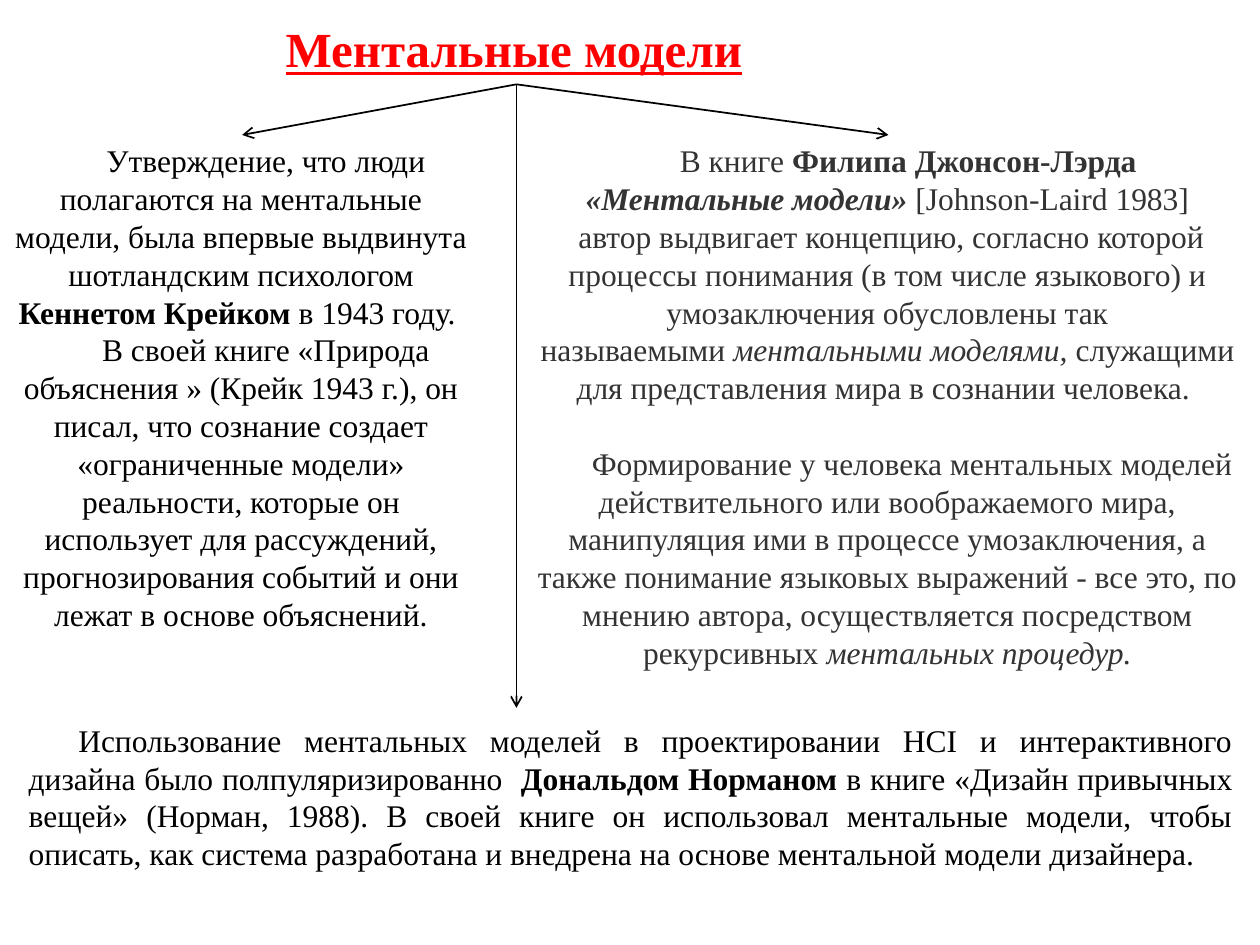
from dataclasses import dataclass

from lxml.etree import SubElement
from pptx import Presentation
from pptx.dml.color import RGBColor
from pptx.enum.shapes import MSO_CONNECTOR as Conn
from pptx.enum.text import MSO_AUTO_SIZE as Fit, PP_ALIGN as Align
from pptx.oxml.ns import qn
from pptx.util import Cm, Pt


@dataclass(frozen=True)
class Theme:
    """Colours, font and sizes of the slide."""
    font: str = "Times New Roman"
    title_pt: float = 28
    body_pt: float = 18
    gap_pt: float = 21.6
    line_pt: float = 1
    red: RGBColor = RGBColor(0xFF, 0, 0)
    black: RGBColor = RGBColor(0, 0, 0)
    grey: RGBColor = RGBColor(0x33, 0x33, 0x33)


@dataclass(frozen=True)
class Span:
    """A stretch of text in one style."""
    text: str
    bold: bool = False
    italic: bool = False
    underline: bool = False


@dataclass(frozen=True)
class Para:
    """A paragraph, optionally set apart from the one above."""
    spans: list[Span]
    gap_before: bool = False


@dataclass(frozen=True)
class Block:
    """A text box; box is left, top, width, height in centimetres."""
    box: tuple[float, float, float, float]
    paras: list[Para]
    color: RGBColor
    size: float
    align: Align = Align.CENTER
    side_inset: float = 0.0
    indent: float = 1.0
    wrap: bool = True


THEME = Theme()

TITLE = Block((5.51, 0.25, 9.8, 1.45),
              [Para([Span("Ментальные модели", bold=True, underline=True)])],
              THEME.red, THEME.title_pt, Align.LEFT, 0.25, 0, wrap=False)

CRAIK = Block((0.3, 2.72, 9.12, 10.26), [
    Para([
        Span("Утверждение, что люди полагаются на ментальные модели, была "
             "впервые выдвинута шотландским психологом "),
        Span("Кеннетом Крейком ", bold=True),
        Span("в 1943 году. "),
    ]),
    Para([
        Span("В своей книге «Природа объяснения » (Крейк 1943 г.), он писал, "
             "что сознание создает «ограниченные модели» реальности, которые "
             "он использует для рассуждений, прогнозирования событий и они "
             "лежат в основе объяснений."),
    ]),
], THEME.black, THEME.body_pt)

JOHNSON_LAIRD = Block((10.69, 2.72, 14.4, 11.79), [
    Para([
        Span("В книге "),
        Span("Филипа Джонсон-Лэрда\u00a0\n", bold=True),
        Span("«Ментальные модели»\u00a0", bold=True, italic=True),
        Span("[Johnson-Laird 1983]\n автор выдвигает концепцию, согласно "
             "которой процессы понимания (в том числе языкового) и "
             "умозаключения обусловлены так называемыми\u00a0"),
        Span("ментальными моделями,\u00a0", italic=True),
        Span("служащими для представления мира в сознании человека. "),
    ]),
    Para([
        Span("Формирование у человека ментальных моделей действительного или "
             "воображаемого мира, манипуляция ими в процессе умозаключения, а "
             "также понимание языковых выражений - все это, по мнению автора, "
             "осуществляется посредством рекурсивных\u00a0"),
        Span("ментальных процедур.", italic=True),
    ], gap_before=True),
], THEME.grey, THEME.body_pt)

NORMAN = Block((0.33, 14.4, 24.77, 3.33), [
    Para([
        Span("Использование ментальных моделей в проектировании HCI и "
             "интерактивного дизайна было полпуляризированно  "),
        Span("Дональдом Норманом ", bold=True),
        Span("в книге «Дизайн привычных вещей» (Норман, 1988). В своей книге "
             "он использовал ментальные модели, чтобы описать, как система "
             "разработана и внедрена на основе ментальной модели дизайнера. "),
    ]),
], THEME.black, THEME.body_pt, Align.JUSTIFY, 0.25)

ARROW_START = (10.41, 1.7)
ARROW_ENDS = [(4.88, 2.72), (17.91, 2.72), (10.41, 14.27)]


def add_span(p, span: Span, block: Block) -> None:
    """Add the runs of a span, with a line break at each newline."""
    for i, line in enumerate(span.text.split("\n")):
        if i:
            p.add_line_break()
        if not line:
            continue
        r = p.add_run()
        r.text = line
        f = r.font
        f.name, f.size = THEME.font, Pt(block.size)
        f.bold, f.italic, f.underline = span.bold, span.italic, span.underline
        f.color.rgb = block.color


def add_block(s, block: Block) -> None:
    """Add a text box with its paragraphs."""
    sp = s.shapes.add_textbox(*map(Cm, block.box))
    tf = sp.text_frame
    tf.word_wrap = block.wrap
    tf.auto_size = Fit.SHAPE_TO_FIT_TEXT
    tf.margin_left = tf.margin_right = Cm(block.side_inset)
    tf.margin_top = tf.margin_bottom = Cm(0.13)
    for i, para in enumerate(block.paras):
        p = tf.add_paragraph() if i else tf.paragraphs[0]
        p.alignment = block.align
        if block.indent:
            p._p.get_or_add_pPr().set("indent", str(Cm(block.indent)))
        if para.gap_before:
            p.space_before = Pt(THEME.gap_pt)
        for span in para.spans:
            add_span(p, span, block)


def add_arrow(s, start: tuple[float, float], end: tuple[float, float]) -> None:
    """Add a straight line with an open arrowhead at its end."""
    cx = s.shapes.add_connector(Conn.STRAIGHT, *map(Cm, start + end))
    cx.line.color.rgb = THEME.black
    cx.line.width = Pt(THEME.line_pt)
    SubElement(cx.line._get_or_add_ln(), qn("a:tailEnd"), type="arrow")
    SubElement(cx._element.spPr, qn("a:effectLst"))


def main() -> None:
    """Build the slide and save it."""
    prs = Presentation()
    prs.slide_width, prs.slide_height = Cm(25.4), Cm(19.05)
    s = prs.slides.add_slide(prs.slide_layouts[6])
    for block in (TITLE, CRAIK, JOHNSON_LAIRD, NORMAN):
        add_block(s, block)
    for end in ARROW_ENDS:
        add_arrow(s, ARROW_START, end)
    prs.save("out.pptx")


main()
